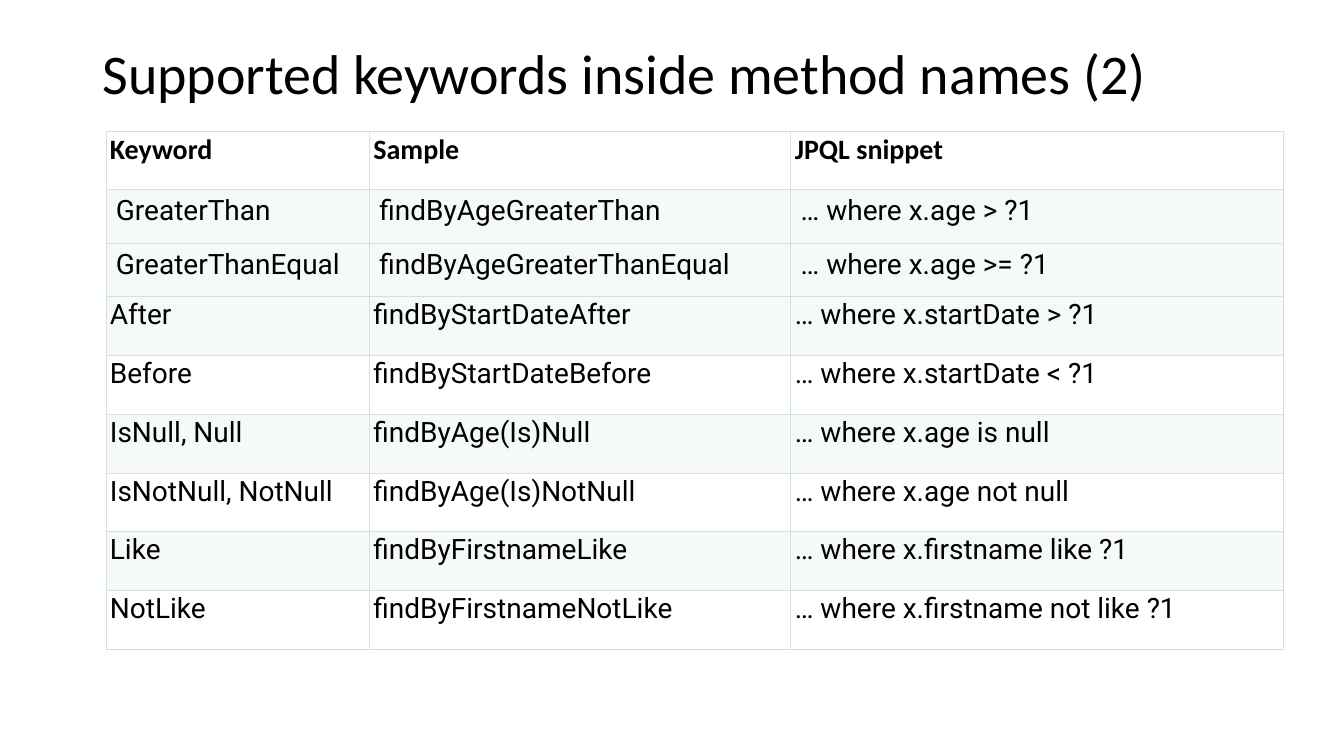
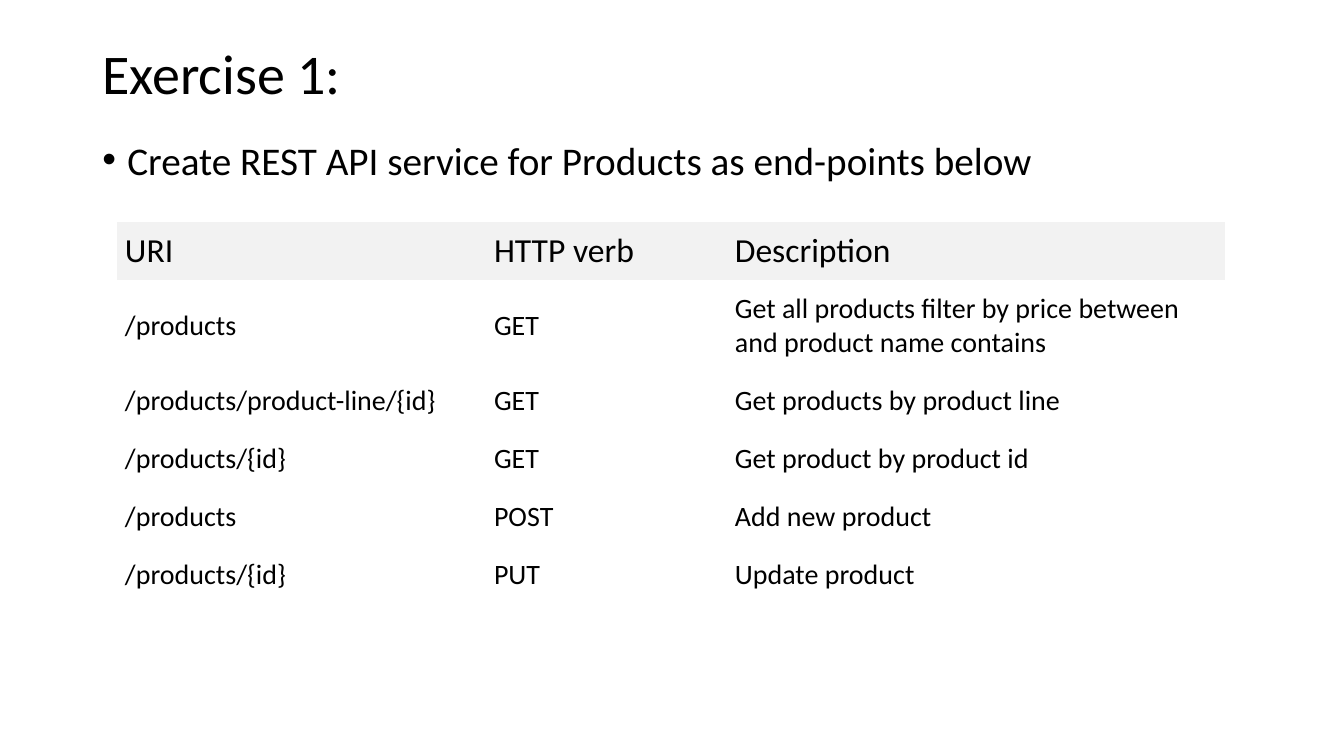
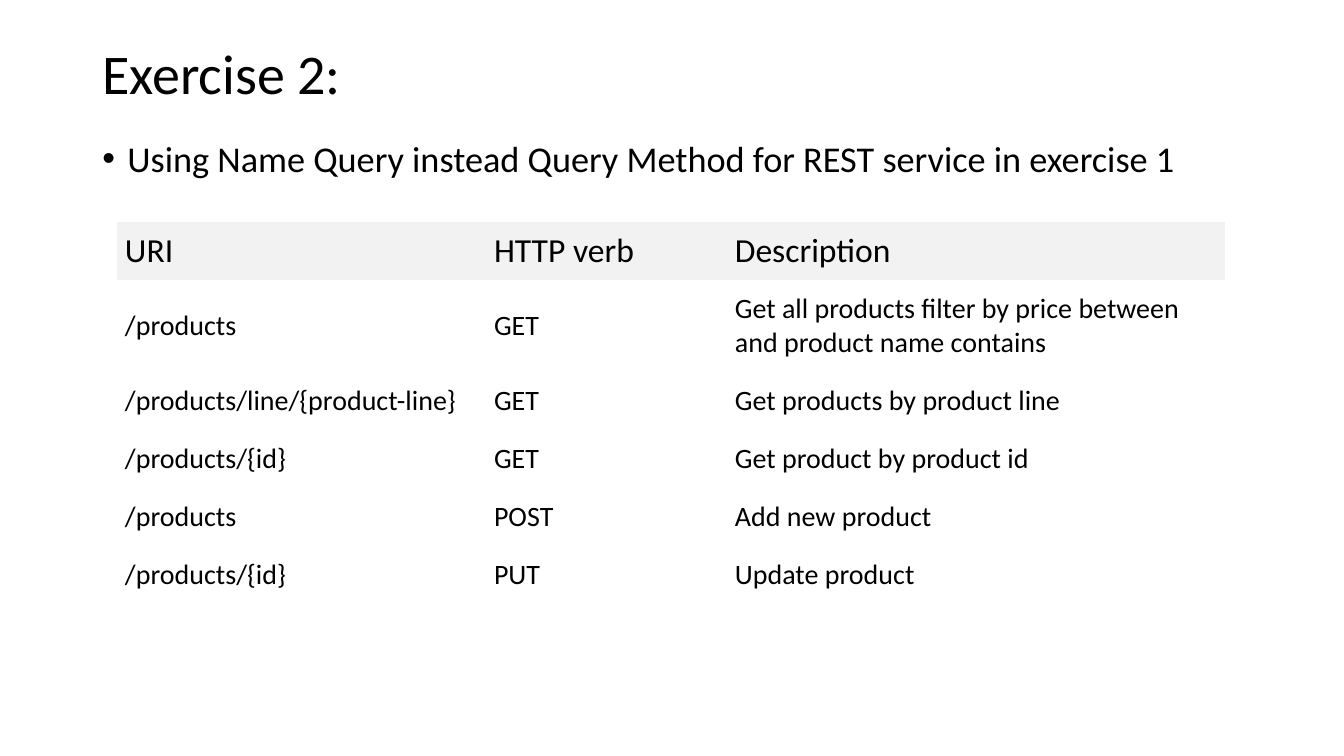
from lxml.etree import SubElement
from pptx import Presentation
from pptx.dml.color import RGBColor
from pptx.enum.text import MSO_ANCHOR as Anchor
from pptx.oxml.ns import qn
from pptx.util import Cm, Pt

SLIDE_WIDTH, SLIDE_HEIGHT = 33.87, 19.05
TITLE_BOX = (2.33, 1.02, 29.21, 1.8)
BULLET_BOX = (2.33, 3.3, 29.21, 1.57)
BULLET_INDENT = 0.63

BLACK, WHITE = "000000", "FFFFFF"
PALE_TEAL, TEAL_LINE, HEADER_GREY = "F5F9F9", "D4DFDF", "F2F2F2"
HEADING_FONT, CODE_FONT = "Calibri", "Roboto"
NO_STYLE = "{2D5ABB26-0587-4C30-8999-92F81FD0307C}"

KEYWORD_ROWS = [
    ("Keyword", "Sample", "JPQL snippet"),
    ("GreaterThan", "findByAgeGreaterThan", "… where x.age > ?1"),
    ("GreaterThanEqual", "findByAgeGreaterThanEqual", "… where x.age >= ?1"),
    ("After", "findByStartDateAfter", "… where x.startDate > ?1"),
    ("Before", "findByStartDateBefore", "… where x.startDate < ?1"),
    ("IsNull, Null", "findByAge(Is)Null", "… where x.age is null"),
    ("IsNotNull, NotNull", "findByAge(Is)NotNull", "… where x.age not null"),
    ("Like", "findByFirstnameLike", "… where x.firstname like ?1"),
    ("NotLike", "findByFirstnameNotLike", "… where x.firstname not like ?1"),
]
ROOMY_ROWS = (1, 2)


def color(hex_string):
    return RGBColor.from_string(hex_string)


def set_attributes(target, values):
    for name, value in values.items():
        setattr(target, name, value)


def write(text_frame, text, size, font=HEADING_FONT, bold=False):
    """Put one styled run in the frame and return its paragraph."""
    paragraph = text_frame.paragraphs[0]
    run = paragraph.add_run()
    run.text = text
    set_attributes(run.font, {"size": Pt(size), "name": font, "bold": bold})
    run.font.color.rgb = color(BLACK)
    return paragraph


def add_text(slide, box, text, size, anchor=Anchor.TOP):
    text_frame = slide.shapes.add_textbox(*map(Cm, box)).text_frame
    set_attributes(text_frame, {"word_wrap": True, "vertical_anchor": anchor})
    return write(text_frame, text, size)


def add_titled_slide(presentation, title):
    slide = presentation.slides.add_slide(presentation.slide_layouts[6])
    paragraph = add_text(slide, TITLE_BOX, title, 40, Anchor.MIDDLE)
    paragraph.line_spacing = 0.9
    return slide


def add_bullet(slide, text, size):
    paragraph = add_text(slide, BULLET_BOX, text, size)
    paragraph.space_before = Pt(6)
    properties = paragraph._p.get_or_add_pPr()
    properties.set("marL", str(Cm(BULLET_INDENT)))
    properties.set("indent", str(-Cm(BULLET_INDENT)))
    SubElement(properties, qn("a:buFont"), typeface="Arial")
    SubElement(properties, qn("a:buChar"), char="•")


def add_borders(cell, line_color, width):
    properties = cell._tc.get_or_add_tcPr()
    for side in ("lnL", "lnR", "lnT", "lnB"):
        line = SubElement(properties, qn(f"a:{side}"), w=str(Pt(width)))
        fill = SubElement(line, qn("a:solidFill"))
        SubElement(fill, qn("a:srgbClr"), val=line_color)


def add_plain_table(slide, left, top, widths, heights):
    """Add a table without any built-in style."""
    box = map(Cm, (left, top, sum(widths), sum(heights)))
    table = slide.shapes.add_table(len(heights), len(widths), *box).table
    set_attributes(table, {"first_row": False, "horz_banding": False})
    table._tbl.tblPr.find(qn("a:tableStyleId")).text = NO_STYLE
    for column, width in zip(table.columns, widths):
        column.width = Cm(width)
    for row, height in zip(table.rows, heights):
        row.height = Cm(height)
    return table


def fill_cell(cell, text, fill, margins, anchor, **text_style):
    """Fill a cell; margins are (horizontal, vertical) in centimetres."""
    horizontal, vertical = map(Cm, margins)
    set_attributes(cell, {
        "margin_left": horizontal, "margin_right": horizontal,
        "margin_top": vertical, "margin_bottom": vertical,
        "vertical_anchor": anchor,
    })
    if fill:
        cell.fill.solid()
        cell.fill.fore_color.rgb = color(fill)
    else:
        cell.fill.background()
    write(cell.text_frame, text, **text_style)


def add_keyword_table(slide, left, top):
    heights = [1.35 if index in ROOMY_ROWS else 1.48 for index in range(len(KEYWORD_ROWS))]
    table = add_plain_table(slide, left, top, (6.64, 10.62, 12.42), heights)
    for row_index, texts in enumerate(KEYWORD_ROWS):
        header, roomy = row_index == 0, row_index in ROOMY_ROWS
        fill = PALE_TEAL if roomy or row_index % 2 else WHITE
        margins = (0.25, 0.13) if roomy else (0.1, 0.05)
        font = HEADING_FONT if header else CODE_FONT
        for column_index, text in enumerate(texts):
            cell = table.cell(row_index, column_index)
            add_borders(cell, TEAL_LINE, 0.6)
            fill_cell(cell, text, fill, margins, Anchor.TOP, size=20, font=font, bold=header)


def add_endpoint_table(slide, left, top, product_line_uri):
    rows = [
        ("URI", "HTTP verb", "Description"),
        ("/products", "GET",
         "Get all products filter by price between and product name contains"),
        (product_line_uri, "GET", "Get products by product line"),
        ("/products/{id}", "GET", "Get product by product id"),
        ("/products", "POST", "Add new product"),
        ("/products/{id}", "PUT", "Update product"),
    ]
    heights = [1.46, 2.33] + [1.46] * 4
    table = add_plain_table(slide, left, top, (9.3, 6.07, 12.55), heights)
    for row_index, texts in enumerate(rows):
        if row_index == 0:
            fill, margins, size = HEADER_GREY, (0.2, 0.2), 24
        else:
            fill, margins, size = None, (0.2, 0.3), 20
        for column_index, text in enumerate(texts):
            cell = table.cell(row_index, column_index)
            fill_cell(cell, text, fill, margins, Anchor.MIDDLE, size=size)


def add_keyword_slide(presentation):
    slide = add_titled_slide(presentation, "Supported keywords inside method names (2)")
    add_keyword_table(slide, 2.67, 3.3)


def add_exercise_slide(presentation, title, task, task_size, product_line_uri):
    slide = add_titled_slide(presentation, title)
    add_bullet(slide, task, task_size)
    add_endpoint_table(slide, 2.95, 5.59, product_line_uri)


def main():
    presentation = Presentation()
    set_attributes(presentation, {
        "slide_width": Cm(SLIDE_WIDTH), "slide_height": Cm(SLIDE_HEIGHT),
    })
    add_keyword_slide(presentation)
    add_exercise_slide(
        presentation, "Exercise 1:",
        "Create REST API service for Products as end-points below", 28,
        "/products/product-line/{id}")
    add_exercise_slide(
        presentation, "Exercise 2:",
        "Using Name Query instead Query Method for REST service in exercise 1", 25.9,
        "/products/line/{product-line}")
    presentation.save("out.pptx")


if __name__ == "__main__":
    main()
